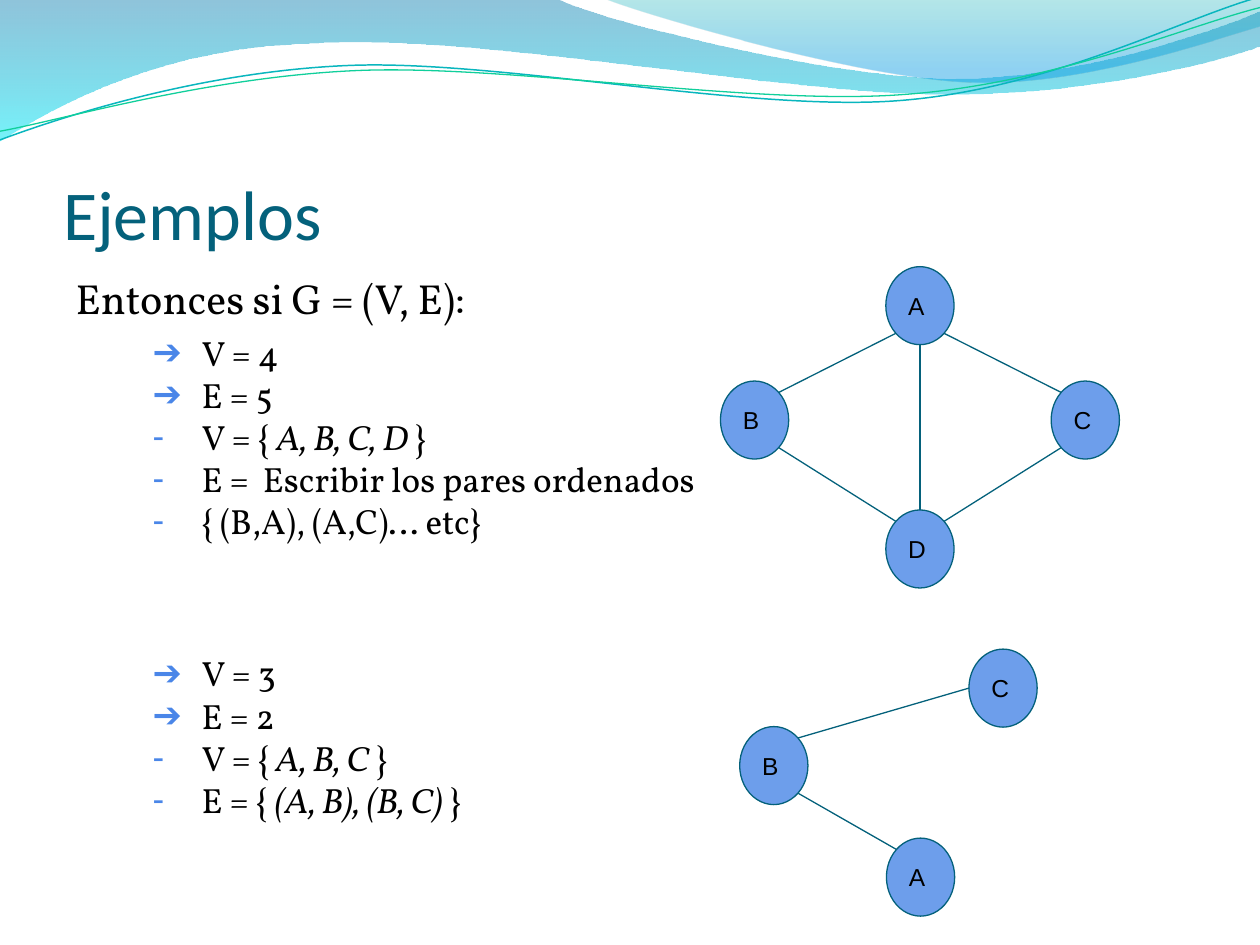
import math
from dataclasses import dataclass

import lxml.etree
import pptx
import pptx.dml.color
import pptx.enum.shapes
import pptx.enum.text
import pptx.oxml.ns
import pptx.util

Pt = pptx.util.Pt
Align = pptx.enum.text.PP_ALIGN
Anchor = pptx.enum.text.MSO_ANCHOR
qn = pptx.oxml.ns.qn


@dataclass(frozen=True)
class Theme:
    title: tuple = ("Calibri", 40, "04617B")
    intro: tuple = ("Vollkorn", 24, "000000")
    item: tuple = ("Vollkorn", 20, "000000")
    label: tuple = ("Arial", 14, "000000")
    edge: str = "04617B"
    node: str = "6D9EEB"
    bullet: str = "4A86E8"
    # Gradient stops: position %, colour, opacity %
    wide_wave: tuple = ((0, "0079AD", 44), (100, "00E9F7", 54))
    right_wave: tuple = ((0, "00ABB4", 29), (80, "0099E4", 44), (100, "0099E4", 44))
    upper_line: str = "09B6BE"
    lower_line: str = "10CF9B"


THEME = Theme()

# Each step is one point (straight) or three points (Bézier curve).
WIDE_WAVE = [
    [(-0.7, 0)], [(318, -0.7)],
    [(343, 12), (478, 45), (546, 45)], [(614, 45), (690, 19), (720, 6.5)], [(720.7, 26)],
    [(708, 32), (626, 55), (537, 54)], [(448, 54), (275, 20), (185, 24.5)],
    [(93, 26), (33, 60), (-0.7, 81)]]
RIGHT_WAVE = [
    [(345.5, -0.7)], [(366, 8), (491, 44.6), (554, 46.8)],
    [(616, 49.5), (692, 23), (720, 15)], [(720, 0)]]
UPPER_LINE = [
    [(-1.4, 63)], [(33.8, 51.7), (114.3, 29.4), (199.4, 29.9)],
    [(284.4, 30.3), (425.9, 67.2), (512.1, 64.8)],
    [(599.3, 62.3), (676.1, 25.7), (720.2, 15.6)]]
LOWER_LINE = [
    [(-1.1, 58)], [(33.1, 53.6), (118.2, 32.6), (204.3, 33)],
    [(290.4, 33.4), (429.1, 63.8), (515.3, 61.4)],
    [(601.5, 59.4), (678.4, 30), (721.4, 21.3)]]
LINE_ROTATION = 357.3

# Bullet, space before, runs; every second run is italic
ITEMS = [
    ("➔", 4.8, ["V = 4"]),
    ("➔", 0, ["E = 5"]),
    ("-", 0, ["V = { ", "A, B, C, D ", "}"]),
    ("-", 0, ["E =  Escribir los pares ordenados"]),
    ("-", 0, ["{ (B,A), (A,C)… etc}"]),
    ("➔", 63, ["V = 3"]),
    ("➔", 0, ["E = 2"]),
    ("-", 0, ["V = {", " A, B, C", " }"]),
    ("-", 0, ["E = { ", "(A, B), (B, C) ", "}"]),
]

# Nodes: place as a share of the box; edges: node, angle, node, angle
# (degrees clockwise from the right-hand side).
SQUARE_NODES = {"B": (0, 0.47), "A": (0.5, 0), "C": (1, 0.47), "D": (0.5, 1)}
SQUARE_EDGES = [("B", 315, "A", 135), ("B", 45, "D", 225), ("C", 225, "A", 45),
                ("D", 315, "C", 135), ("D", 270, "A", 90)]
PATH_NODES = {"B": (0, 0.41), "C": (1, 0), "A": (0.64, 1)}
PATH_EDGES = [("B", 45, "A", 225), ("B", 315, "C", 180)]
NODE_WIDTH, NODE_HEIGHT = 39, 44.6


def rgb(value):
    return pptx.dml.color.RGBColor.from_string(value)


def set_attributes(target, values):
    for name, value in values.items():
        setattr(target, name, value)


def add_run(paragraph, text, style, italic=False):
    name, size, color = style
    run = paragraph.add_run()
    run.text = text
    set_attributes(run.font, {"name": name, "size": Pt(size), "italic": italic})
    run.font.color.rgb = rgb(color)


def format_line(line, color, width=0.75):
    line.color.rgb = rgb(color)
    line.width = Pt(width)


def format_frame(frame, anchor, margins):
    sides = ("margin_left", "margin_top", "margin_right", "margin_bottom")
    set_attributes(frame, {"word_wrap": True, "vertical_anchor": anchor,
                           "auto_size": pptx.enum.text.MSO_AUTO_SIZE.NONE,
                           **dict(zip(sides, map(Pt, margins)))})


def place(shape, box):
    set_attributes(shape, dict(zip(("left", "top", "width", "height"), map(Pt, box))))


def add_child(parent, tag, **attributes):
    return lxml.etree.SubElement(parent, qn(tag), attributes)


def add_outline(slide, steps, closed):
    """Draw straight steps, then merge each group of three into a Bézier curve."""
    first, *rest = [(Pt(x), Pt(y)) for step in steps for x, y in step]
    builder = slide.shapes.build_freeform(*first)
    builder.add_line_segments(rest, close=closed)
    shape = builder.convert_to_shape()
    segments = iter(list(shape.element.iter(qn("a:lnTo"))))
    for step in steps[1:]:
        group = [next(segments) for point in step]
        if len(group) == 3:
            curve = lxml.etree.Element(qn("a:cubicBezTo"))
            group[0].addprevious(curve)
            for segment in group:
                curve.append(segment[0])
                segment.getparent().remove(segment)
    shape.shadow.inherit = False
    shape.fill.background()
    return shape


def fill_gradient(shape, stops):
    """Fill from top to bottom with partly transparent stops."""
    properties = shape.element.spPr
    gradient = lxml.etree.Element(qn("a:gradFill"), {"rotWithShape": "1"})
    stop_list = add_child(gradient, "a:gsLst")
    for position, color, opacity in stops:
        stop = add_child(stop_list, "a:gs", pos=str(position * 1000))
        color_element = add_child(stop, "a:srgbClr", val=color)
        add_child(color_element, "a:alpha", val=str(opacity * 1000))
    add_child(gradient, "a:lin", ang="5400000", scaled="1")
    properties.replace(properties.find(qn("a:noFill")), gradient)


def add_master_waves(slide, master):
    """Draw the header waves and move them to the back of the master."""
    waves = []
    for steps, stops in ((WIDE_WAVE, THEME.wide_wave), (RIGHT_WAVE, THEME.right_wave)):
        wave = add_outline(slide, steps, closed=True)
        wave.line.fill.background()
        fill_gradient(wave, stops)
        waves.append(wave)
    for steps, color, width in ((UPPER_LINE, THEME.upper_line, 0.85),
                                (LOWER_LINE, THEME.lower_line, 0.75)):
        wave = add_outline(slide, steps, closed=False)
        wave.rotation = LINE_ROTATION
        format_line(wave.line, color, width)
        waves.append(wave)
    first_placeholder = master.shapes[0].element
    for number, wave in enumerate(waves, start=101):
        next(wave.element.iter(qn("p:cNvPr"))).set("id", str(number))
        first_placeholder.addprevious(wave.element)


def fill_title(shape, box, text):
    place(shape, box)
    format_frame(shape.text_frame, Anchor.BOTTOM, (0, 3.6, 0, 0))
    paragraph = shape.text_frame.paragraphs[0]
    paragraph.alignment = Align.LEFT
    add_run(paragraph, text, THEME.title)


def add_item(paragraph, bullet, space, texts, style):
    set_attributes(paragraph, {"alignment": Align.JUSTIFY, "space_before": Pt(space)})
    properties = paragraph._p.get_or_add_pPr()
    margin, indent = (72, -28) if bullet else (0, 0)
    properties.set("marL", str(Pt(margin)))
    properties.set("indent", str(Pt(indent)))
    if bullet:
        add_child(add_child(properties, "a:buClr"), "a:srgbClr", val=THEME.bullet)
        add_child(properties, "a:buChar", char=bullet)
    else:
        add_child(properties, "a:buNone")
    for index, text in enumerate(texts):
        add_run(paragraph, text, style, italic=index % 2 == 1)


def fill_body(shape, box, intro, items):
    place(shape, box)
    frame = shape.text_frame
    format_frame(frame, Anchor.TOP, (7.2, 3.6, 7.2, 3.6))
    add_item(frame.paragraphs[0], None, 4.8, [intro], THEME.intro)
    for item in items:
        add_item(frame.add_paragraph(), *item, THEME.item)


def add_node(slide, label, center):
    node = slide.shapes.add_shape(
        pptx.enum.shapes.MSO_SHAPE.OVAL, Pt(center[0] - NODE_WIDTH / 2),
        Pt(center[1] - NODE_HEIGHT / 2), Pt(NODE_WIDTH), Pt(NODE_HEIGHT))
    node.shadow.inherit = False
    node.fill.solid()
    node.fill.fore_color.rgb = rgb(THEME.node)
    format_line(node.line, THEME.edge)
    format_frame(node.text_frame, Anchor.MIDDLE, (7.2,) * 4)
    paragraph = node.text_frame.paragraphs[0]
    paragraph.alignment = Align.LEFT
    add_run(paragraph, label, THEME.label)


def rim_point(center, angle):
    turn = math.radians(angle)
    return (Pt(center[0] + NODE_WIDTH / 2 * math.cos(turn)),
            Pt(center[1] + NODE_HEIGHT / 2 * math.sin(turn)))


def add_graph(slide, box, nodes, edges):
    left, top, width, height = box
    centers = {label: (left + NODE_WIDTH / 2 + across * (width - NODE_WIDTH),
                       top + NODE_HEIGHT / 2 + down * (height - NODE_HEIGHT))
               for label, (across, down) in nodes.items()}
    for label, center in centers.items():
        add_node(slide, label, center)
    for start, start_angle, end, end_angle in edges:
        edge = slide.shapes.add_connector(
            pptx.enum.shapes.MSO_CONNECTOR.STRAIGHT,
            *rim_point(centers[start], start_angle), *rim_point(centers[end], end_angle))
        format_line(edge.line, THEME.edge)
        add_child(edge.element.spPr, "a:effectLst")


def main():
    presentation = pptx.Presentation()
    set_attributes(presentation, {"slide_width": Pt(720), "slide_height": Pt(540)})
    slide = presentation.slides.add_slide(presentation.slide_layouts[1])
    title, body = slide.placeholders
    add_master_waves(slide, presentation.slide_master)
    fill_title(title, (36, 55.5, 648, 90), "Ejemplos")
    fill_body(body, (36, 152.3, 673, 372), "Entonces si G = (V, E):", ITEMS)
    add_graph(slide, (411.7, 152.4, 228, 183.6), SQUARE_NODES, SQUARE_EDGES)
    add_graph(slide, (422.7, 370.9, 170, 152.6), PATH_NODES, PATH_EDGES)
    presentation.save("out.pptx")


if __name__ == "__main__":
    main()
